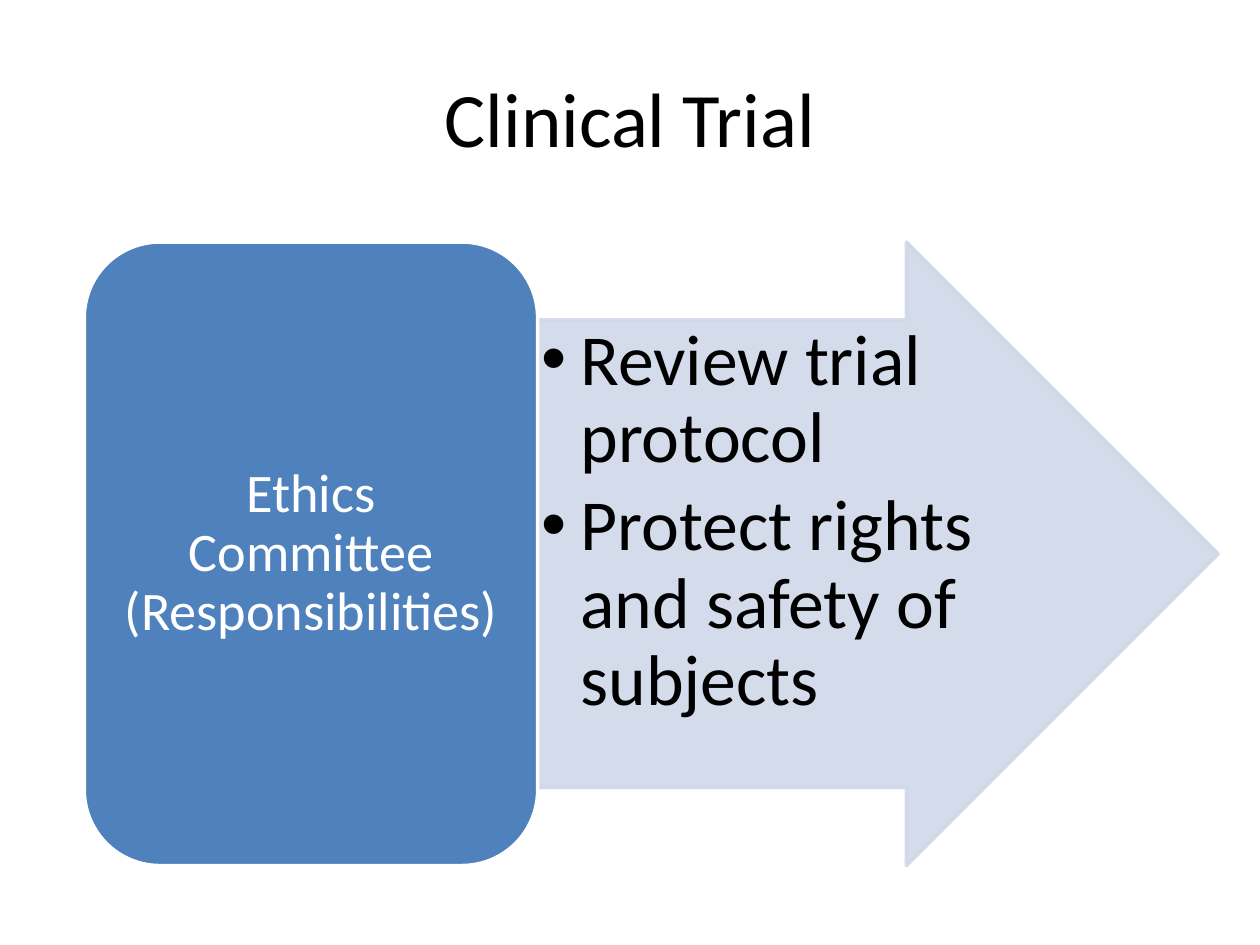
from lxml.etree import SubElement
from pptx import Presentation
from pptx.dml.color import RGBColor
from pptx.enum.shapes import MSO_SHAPE
from pptx.enum.text import MSO_ANCHOR, PP_ALIGN
from pptx.oxml.ns import qn
from pptx.util import Cm, Pt

BLACK = RGBColor(0x00, 0x00, 0x00)
WHITE = RGBColor(0xFF, 0xFF, 0xFF)
BLUE = RGBColor(0x4F, 0x81, 0xBD)
PALE_BLUE = RGBColor(0xD0, 0xD8, 0xE8)


class SlideBuilder:
    """Holds the style and the current slide, and adds its elements."""

    font = "Calibri"
    spacing = 0.9

    def __init__(self, prs):
        self.slide = prs.slides.add_slide(prs.slide_layouts[5])

    def style(self, p, size, color, align):
        p.alignment = align
        for r in p.runs:
            r.font.name = self.font
            r.font.size = Pt(size)
            r.font.color.rgb = color

    def frame(self, sp, anchor, inset_x, inset_y):
        tf = sp.text_frame
        tf.word_wrap = True
        tf.vertical_anchor = anchor
        tf.margin_left = tf.margin_right = Cm(inset_x)
        tf.margin_top = tf.margin_bottom = Cm(inset_y)
        return tf

    def title(self, text, box):
        sp = self.slide.shapes.title
        sp.left, sp.top, sp.width, sp.height = map(Cm, box)
        tf = self.frame(sp, MSO_ANCHOR.MIDDLE, 0.25, 0.13)
        tf.text = text
        self.style(tf.paragraphs[0], 44, BLACK, PP_ALIGN.CENTER)

    def shape(self, kind, box, fill, line, opacity=100):
        sp = self.slide.shapes.add_shape(kind, *map(Cm, box))
        sp.shadow.inherit = False
        sp.fill.solid()
        sp.fill.fore_color.rgb = fill
        sp.line.color.rgb = line
        sp.line.width = Pt(2)
        if opacity < 100:
            for clr in sp._element.spPr.iter(qn("a:srgbClr")):
                SubElement(clr, qn("a:alpha"), val=str(opacity * 1000))
        return sp

    def arrow(self, box):
        sp = self.shape(MSO_SHAPE.RIGHT_ARROW, box, PALE_BLUE, PALE_BLUE, 90)
        sp.adjustments[0] = 0.75
        sp.adjustments[1] = 0.5

    def card(self, text, box):
        sp = self.shape(MSO_SHAPE.ROUNDED_RECTANGLE, box, BLUE, WHITE)
        tf = self.frame(sp, MSO_ANCHOR.MIDDLE, 0.33, 0.16)
        tf.text = text
        p = tf.paragraphs[0]
        p.line_spacing = self.spacing
        self.style(p, 31, WHITE, PP_ALIGN.CENTER)

    def bullets(self, items, box):
        sp = self.slide.shapes.add_textbox(*map(Cm, box))
        tf = self.frame(sp, MSO_ANCHOR.TOP, 0.07, 0.07)
        tf.text = "\n".join(items)
        for p in tf.paragraphs:
            pPr = p._p.get_or_add_pPr()
            pPr.set("marL", str(Cm(0.79)))
            pPr.set("indent", str(-Cm(0.79)))
            SubElement(pPr, qn("a:buFont"), typeface="Arial")
            SubElement(pPr, qn("a:buChar"), char="•")
            p.line_spacing = self.spacing
            p.space_after = Pt(6)
            self.style(p, 41, BLACK, PP_ALIGN.LEFT)


def main():
    prs = Presentation()
    prs.slide_width, prs.slide_height = Cm(25.4), Cm(19.05)
    s = SlideBuilder(prs)
    left, top, height = 1.7, 4.88, 12.57
    card_width, arrow_width = 9.14, 13.72
    arrow_left = left + card_width

    s.title("Clinical Trial", (1.27, 0.76, 22.86, 3.18))
    s.arrow((arrow_left, top, arrow_width, height))
    s.bullets(
        ["Review trial protocol", "Protect rights and safety of subjects"],
        (arrow_left, top + height / 8, 9, height * 0.75),
    )
    s.card("Ethics Committee (Responsibilities)", (left, top, card_width, height))
    prs.save("out.pptx")


if __name__ == "__main__":
    main()
